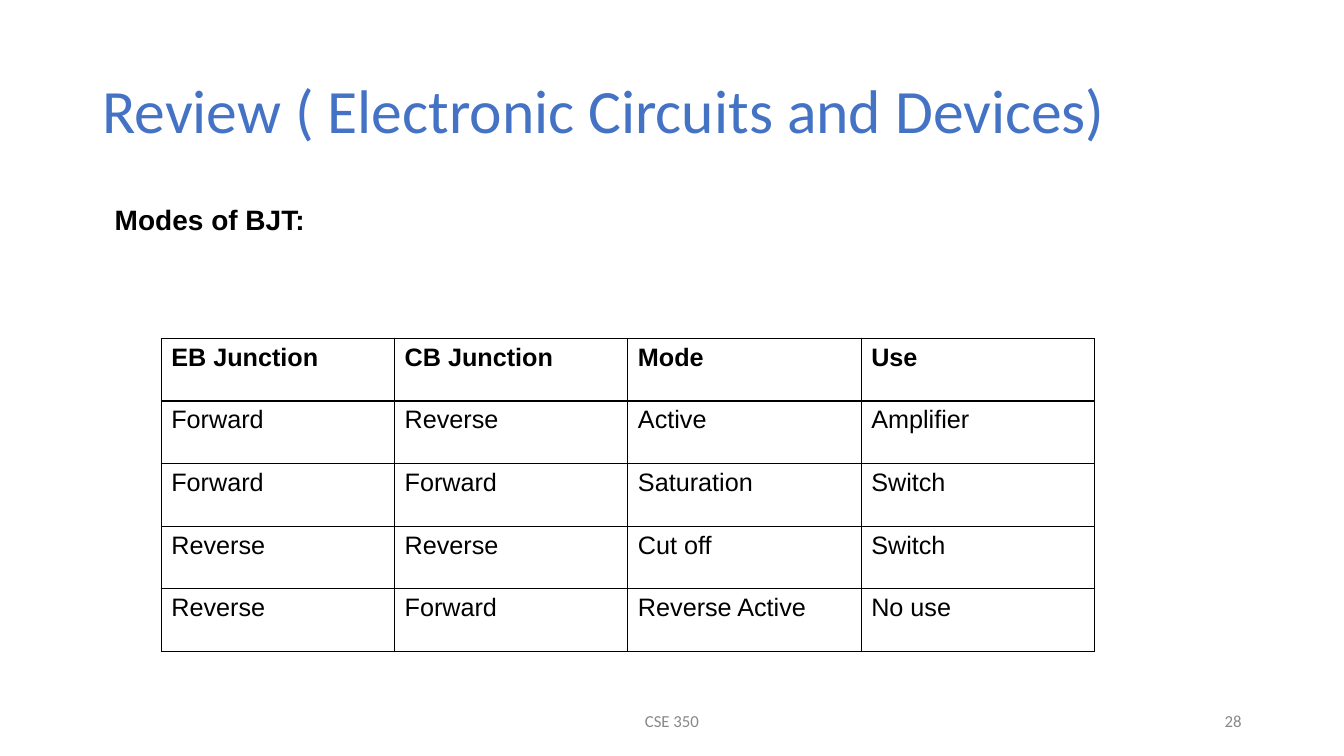
from lxml import etree
from pptx import Presentation
from pptx.dml.color import RGBColor
from pptx.enum.text import MSO_ANCHOR, PP_ALIGN
from pptx.oxml.ns import qn
from pptx.util import Pt

LEFT, CENTER, RIGHT = PP_ALIGN.LEFT, PP_ALIGN.CENTER, PP_ALIGN.RIGHT
TOP, MIDDLE = MSO_ANCHOR.TOP, MSO_ANCHOR.MIDDLE

BLACK = "000000"
TITLE = {"name": "Calibri", "size": Pt(44), "color": "4472C4"}
HEADING = {"name": "Arial", "size": Pt(20), "color": BLACK, "bold": True}
FOOTER = {"name": "Calibri", "size": Pt(12), "color": "888888"}
TABLE_BODY = {"name": "Arial", "size": Pt(18), "color": BLACK, "bold": False}
TABLE_HEAD = {**TABLE_BODY, "bold": True}

BJT_MODES = [
    ("EB Junction", "CB Junction", "Mode", "Use"),
    ("Forward", "Reverse", "Active", "Amplifier"),
    ("Forward", "Forward", "Saturation", "Switch"),
    ("Reverse", "Reverse", "Cut off", "Switch"),
    ("Reverse", "Forward", "Reverse Active", "No use"),
]
COLUMN_WIDTH, ROW_HEIGHT = 166.65, 44.7


def rgb(code):
    return RGBColor.from_string(code)


def style_font(font, look):
    for attribute, value in look.items():
        if attribute == "color":
            font.color.rgb = rgb(value)
        else:
            setattr(font, attribute, value)


def add_text(slide, wording, box, look, align=LEFT, anchor=MIDDLE, spacing=1.0, inset=7.2):
    frame = slide.shapes.add_textbox(*map(Pt, box)).text_frame
    layout = {"word_wrap": True, "vertical_anchor": anchor, "margin_left": Pt(inset)}
    for attribute, value in layout.items():
        setattr(frame, attribute, value)
    line = frame.paragraphs[0]
    line.alignment = align
    line.line_spacing = spacing
    run = line.add_run()
    run.text = wording
    style_font(run.font, look)


def add_borders(cell, color, width):
    properties = cell._tc.get_or_add_tcPr()
    for side in ("a:lnL", "a:lnR", "a:lnT", "a:lnB"):
        edge = etree.SubElement(properties, qn(side), w=str(Pt(width)))
        fill = etree.SubElement(edge, qn("a:solidFill"))
        etree.SubElement(fill, qn("a:srgbClr"), val=color)


def add_grid(slide, rows, left, top):
    columns = len(rows[0])
    width, height = columns * COLUMN_WIDTH, len(rows) * ROW_HEIGHT
    grid = slide.shapes.add_table(
        len(rows), columns, Pt(left), Pt(top), Pt(width), Pt(height)
    ).table
    grid.first_row = grid.horz_banding = False
    for row_index, entries in enumerate(rows):
        look = TABLE_BODY if row_index else TABLE_HEAD
        for column_index, entry in enumerate(entries):
            cell = grid.cell(row_index, column_index)
            cell.text = entry
            style_font(cell.text_frame.paragraphs[0].runs[0].font, look)
            add_borders(cell, BLACK, 1)
            cell.fill.background()


def main():
    deck = Presentation()
    deck.slide_width, deck.slide_height = Pt(960), Pt(540)
    slide = deck.slides.add_slide(deck.slide_layouts[6])
    add_text(slide, "Review ( Electronic Circuits and Devices)",
             (66, 28.75, 828, 104.4), TITLE, spacing=0.9)
    add_text(slide, "CSE 350", (318, 500.5, 324, 28.75), FOOTER, CENTER)
    add_text(slide, "28", (678, 500.5, 216, 28.75), FOOTER, RIGHT)
    add_text(slide, "Modes of BJT:", (66, 143.75, 828, 342.6), HEADING,
             anchor=TOP, spacing=0.9, inset=16)
    add_grid(slide, BJT_MODES, 115.2, 241.8)
    deck.save("out.pptx")


if __name__ == "__main__":
    main()
